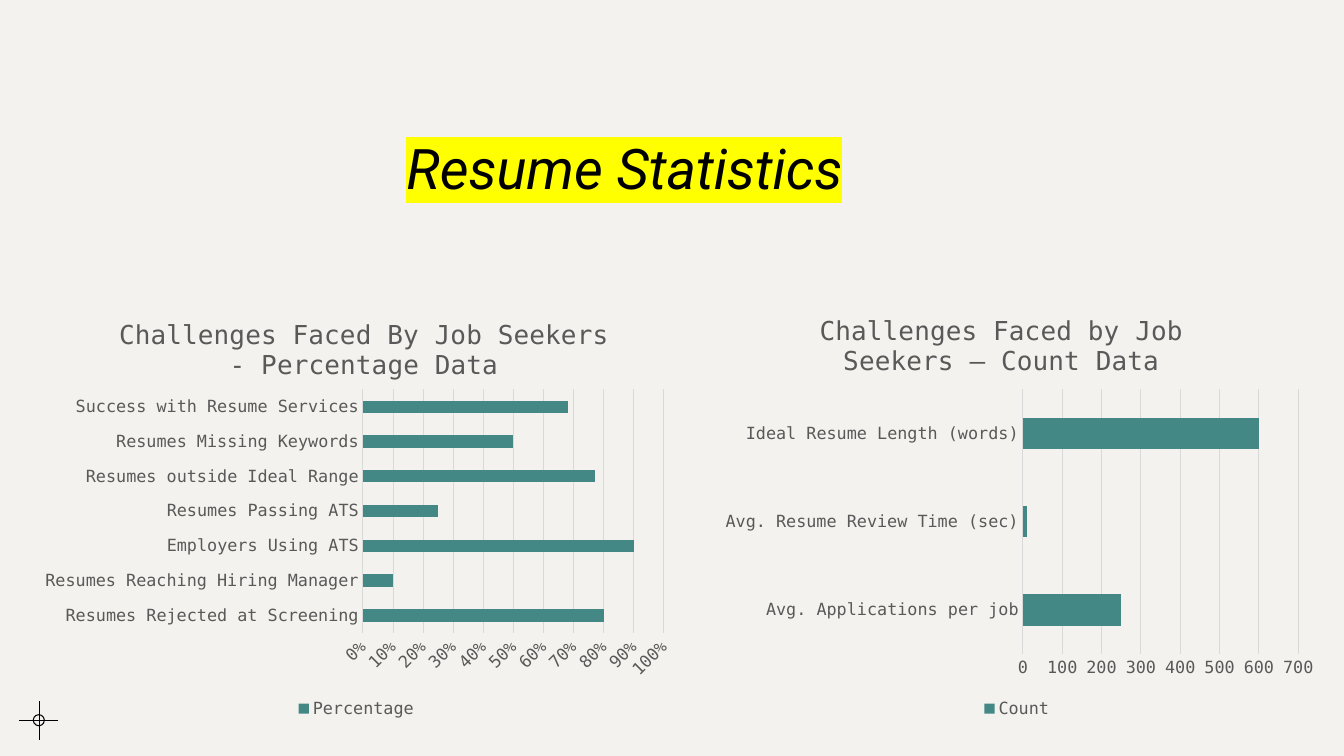
from lxml.etree import SubElement
from pptx import Presentation
from pptx.chart.data import CategoryChartData
from pptx.dml.color import RGBColor
from pptx.enum.chart import XL_CHART_TYPE, XL_LEGEND_POSITION, XL_TICK_MARK
from pptx.enum.shapes import MSO_CONNECTOR, MSO_SHAPE
from pptx.enum.text import MSO_ANCHOR, PP_ALIGN
from pptx.oxml import parse_xml
from pptx.oxml.ns import nsdecls, qn
from pptx.util import Inches, Pt

COLORS = {"paper": "F3F2EE", "ink": "000000", "mark": "FFFF00",
          "label": "595959", "grid": "D9D9D9", "bar": "448885"}
MONO = "DejaVu Sans Mono"

PERCENTAGES = {
    "Resumes Rejected at Screening": 0.8,
    "Resumes Reaching Hiring Manager": 0.1,
    "Employers Using ATS": 0.9,
    "Resumes Passing ATS": 0.25,
    "Resumes outside Ideal Range": 0.77,
    "Resumes Missing Keywords": 0.5,
    "Success with Resume Services": 0.68,
}
COUNTS = {
    "Avg. Applications per job": 250,
    "Avg. Resume Review Time (sec)": 10,
    "Ideal Resume Length (words)": 600,
}


def color(name):
    """Return the named colour."""
    return RGBColor.from_string(COLORS[name])


def style(target, **values):
    """Set each given attribute on the target."""
    for name, value in values.items():
        setattr(target, name, value)


def style_font(font, name, size, tint, **values):
    """Set the face, size, colour and further values of a font."""
    style(font, name=name, size=Pt(size), **values)
    font.color.rgb = color(tint)


def style_line(line, tint):
    """Give a line its colour and the common thin width."""
    line.color.rgb = color(tint)
    line.width = Pt(0.75)


def set_layout(parent, **fractions):
    """Place a chart part at fractions of the chart area."""
    for old in parent.findall(qn("c:layout")):
        parent.remove(old)
    layout = parse_xml(f"<c:layout {nsdecls('c')}/>")
    manual = SubElement(layout, qn("c:manualLayout"))
    if "w" in fractions:
        SubElement(manual, qn("c:layoutTarget"), val="inner")
    for side in "xy":
        SubElement(manual, qn(f"c:{side}Mode"), val="edge")
    for side, value in fractions.items():
        SubElement(manual, qn(f"c:{side}"), val=str(value))
    text = parent.find(qn("c:tx"))
    if text is None:
        parent.insert(0, layout)
    else:
        text.addnext(layout)


def add_title(page, text):
    """Fill the title placeholder with highlighted italic text."""
    title = page.shapes.title
    style(title, left=Inches(3.93), top=Inches(0.82),
          width=Inches(6.73), height=Inches(1.2))
    style(title.text_frame, vertical_anchor=MSO_ANCHOR.BOTTOM,
          word_wrap=True, margin_bottom=Inches(0.03))
    para = title.text_frame.paragraphs[0]
    style(para, alignment=PP_ALIGN.LEFT, line_spacing=1.2)
    span = para.add_run()
    span.text = text
    style_font(span.font, "Roboto", 40, "ink", italic=True)
    highlight = parse_xml(f"<a:highlight {nsdecls('a')}/>")
    SubElement(highlight, qn("a:srgbClr"), val=COLORS["mark"])
    span.font._element.find(qn("a:solidFill")).addnext(highlight)


def add_crosshair(page):
    """Draw the circled cross in the lower left corner."""
    group = page.shapes.add_group_shape()
    for ends in ((0.19, 7.15, 0.58, 7.15), (0.39, 7.34, 0.39, 6.95)):
        line = group.shapes.add_connector(MSO_CONNECTOR.STRAIGHT, *map(Inches, ends))
        style_line(line.line, "ink")
        SubElement(line._element.spPr, qn("a:effectLst"))
    ring = group.shapes.add_shape(MSO_SHAPE.OVAL, *map(Inches, (0.33, 7.09, 0.11, 0.11)))
    ring.shadow.inherit = False
    ring.fill.background()
    style_line(ring.line, "ink")


def add_bar_chart(page, title, series, values, left, width, title_at, plot_at,
                  top_value, step, number_format):
    """Add a horizontal bar chart with a title and a legend."""
    data = CategoryChartData(number_format=number_format)
    data.categories = list(values)
    data.add_series(series, list(values.values()))
    chart = page.shapes.add_chart(
        XL_CHART_TYPE.BAR_CLUSTERED, Inches(left), Inches(2.93),
        Inches(width), Inches(4.24), data).chart
    style_font(chart.font, MONO, 10, "ink")

    chart.has_title = True
    para = chart.chart_title.text_frame.paragraphs[0]
    span = para.add_run()
    span.text = title
    style_font(span.font, MONO, 18.6, "label", bold=False)
    set_layout(chart.chart_title._element, **title_at)
    set_layout(chart._chartSpace.chart.plotArea, **plot_at)

    chart.has_legend = True
    style(chart.legend, position=XL_LEGEND_POSITION.BOTTOM, include_in_layout=False)
    style_font(chart.legend.font, MONO, 12, "label")

    for axis in (chart.category_axis, chart.value_axis):
        style(axis, major_tick_mark=XL_TICK_MARK.NONE, minor_tick_mark=XL_TICK_MARK.NONE)
        style_font(axis.tick_labels.font, MONO, 12, "label")
    style_line(chart.category_axis.format.line, "grid")
    scale = chart.value_axis
    style(scale, minimum_scale=0, maximum_scale=top_value, major_unit=step,
          has_major_gridlines=True)
    style_line(scale.major_gridlines.format.line, "grid")
    scale.format.line.fill.background()
    style(scale.tick_labels, number_format=number_format, number_format_is_linked=False)

    plot = chart.plots[0]
    style(plot, gap_width=182, vary_by_categories=False)
    fill = plot.series[0].format.fill
    fill.solid()
    fill.fore_color.rgb = color("bar")
    return chart


def main():
    """Build the slide and save it."""
    deck = Presentation()
    style(deck, slide_width=Inches(13.33), slide_height=Inches(7.5))
    page = deck.slides.add_slide(deck.slide_layouts[5])
    page.background.fill.solid()
    page.background.fill.fore_color.rgb = color("paper")
    add_crosshair(page)
    add_title(page, "Resume Statistics")
    percent_chart = add_bar_chart(
        page, "Challenges Faced By Job Seekers - Percentage Data", "Percentage",
        PERCENTAGES, 0.29, 6.49, {"x": 0.13, "y": 0.04},
        {"x": 0.51, "y": 0.22, "w": 0.46, "h": 0.57}, 1, 0.1, "0%")
    labels = percent_chart.value_axis.tick_labels.font._element.getparent().getparent()
    labels.getparent().find(qn("a:bodyPr")).set("rot", "-2700000")
    add_bar_chart(
        page, "Challenges Faced by Job Seekers – Count Data", "Count",
        COUNTS, 7.05, 6.07, {"x": 0.17, "y": 0.03},
        {"x": 0.51, "y": 0.22, "w": 0.45, "h": 0.62}, 700, 100, "General")
    deck.save("out.pptx")


if __name__ == "__main__":
    main()
